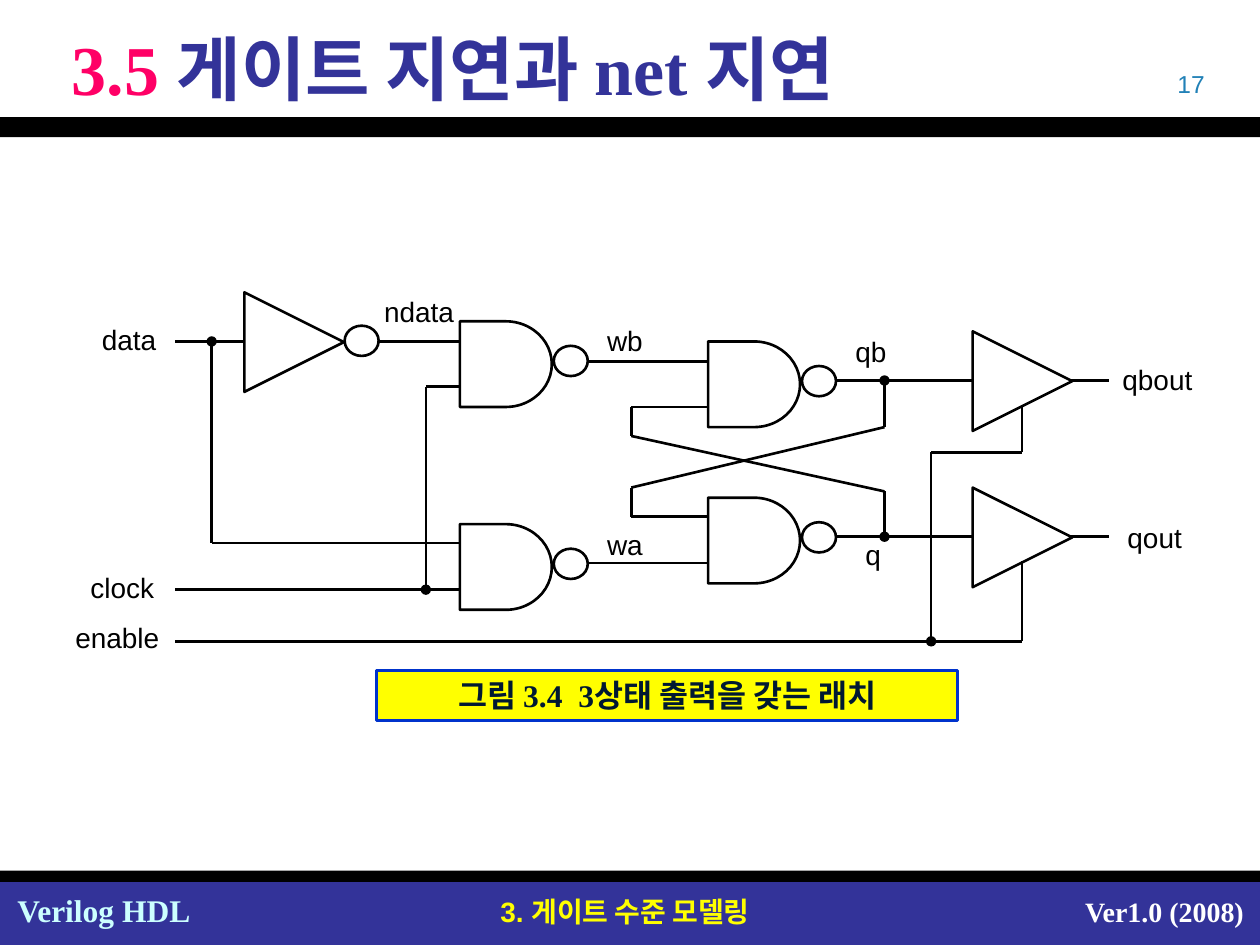
from dataclasses import dataclass
from lxml.etree import SubElement
from pptx import Presentation
from pptx.dml.color import RGBColor
from pptx.enum.shapes import MSO_CONNECTOR as Link, MSO_SHAPE as Kind
from pptx.enum.text import MSO_ANCHOR as Anchor, MSO_AUTO_SIZE as Fit, PP_ALIGN as Align
from pptx.oxml.ns import qn
from pptx.util import Pt

SCALE = 9144
ARIAL = "Arial"
TIMES = "Times New Roman"
BLACK = "000000"
NAVY = "333399"


@dataclass
class Label:
    text: str
    x: int
    y: int
    w: int
    h: int = 37
    size: int = 16
    color: str = BLACK
    face: str = ARIAL
    bold: bool = False
    align: Align = Align.LEFT
    wrap: bool = False


@dataclass
class Wire:
    x1: int
    y1: int
    x2: int
    y2: int
    dot: bool = False


@dataclass
class Bar:
    y: int
    h: int
    color: str


BARS = [Bar(700, 50, NAVY), Bar(93, 16, BLACK), Bar(691, 9, BLACK)]
NOTES = [
    Label("3. 게이트 수준 모델링", 362, 705, 268, color="FFFF00", bold=True,
          align=Align.CENTER, wrap=True),
    Label("Ver1.0 (2008)", 839, 705, 158, color="FFFFFF", face=TIMES, bold=True,
          align=Align.RIGHT, wrap=True),
    Label("Verilog HDL", 4, 702, 158, 40, 18, "CCFFFF", TIMES, True, wrap=True),
    Label("17", 733, 50, 233, 33, 14, "2181B7", align=Align.RIGHT, wrap=True),
    Label("data", 71, 251, 63),
    Label("clock", 62, 448, 70),
    Label("enable", 50, 488, 86),
    Label("ndata", 295, 229, 75),
    Label("wb", 472, 252, 48),
    Label("wa", 472, 414, 48),
    Label("qb", 669, 261, 44),
    Label("q", 677, 422, 32),
    Label("qbout", 881, 283, 75),
    Label("qout", 885, 408, 63),
]
CAPTION = Label("그림 3.4  3상태 출력을 갖는 래치", 299, 532, 461, 40, 18, "001932",
                TIMES, True, Align.CENTER, True)
NANDS = [(365, 255), (365, 416), (562, 271), (562, 395)]
BUFFERS = [(772, 263), (772, 387)]
NOT = (194, 232)
WIRES = [
    Wire(139, 271, 194, 271),
    Wire(301, 271, 365, 271),
    Wire(168, 271, 168, 431, True),
    Wire(168, 431, 365, 431),
    Wire(139, 468, 365, 468),
    Wire(338, 468, 338, 307, True),
    Wire(338, 307, 365, 307),
    Wire(467, 287, 501, 287),
    Wire(501, 287, 562, 287),
    Wire(467, 447, 501, 447),
    Wire(501, 447, 562, 447),
    Wire(501, 323, 562, 323),
    Wire(501, 346, 501, 323),
    Wire(702, 390, 501, 346),
    Wire(702, 426, 702, 390, True),
    Wire(501, 410, 562, 410),
    Wire(501, 410, 501, 387),
    Wire(702, 339, 501, 387),
    Wire(702, 302, 702, 339, True),
    Wire(664, 302, 772, 302),
    Wire(664, 426, 772, 426),
    Wire(811, 359, 811, 322),
    Wire(739, 359, 811, 359),
    Wire(739, 509, 739, 359, True),
    Wire(811, 509, 811, 445),
    Wire(139, 509, 811, 509),
]


def px(*nums: int) -> list[int]:
    return [n * SCALE for n in nums]


def rgb(code: str) -> RGBColor:
    return RGBColor.from_string(code)


def shape(tree, kind: Kind, x: int, y: int, w: int, h: int,
          fill: str = "", line: str = "", turn: int = 0):
    item = tree.add_shape(kind, *px(x, y, w, h))
    item.shadow.inherit = False
    item.rotation = turn
    if fill:
        item.fill.solid()
        item.fill.fore_color.rgb = rgb(fill)
    else:
        item.fill.background()
    if line:
        item.line.color.rgb = rgb(line)
        item.line.width = Pt(1.5)
    else:
        item.line.fill.background()
    return item


def write(frame, note: Label) -> None:
    frame.word_wrap = note.wrap
    frame.auto_size = Fit.SHAPE_TO_FIT_TEXT if note.wrap else Fit.NONE
    frame.vertical_anchor = Anchor.TOP
    if not note.wrap:
        frame.margin_right = 0
    para = frame.paragraphs[0]
    para.text = note.text
    para.alignment = note.align
    style(para, note.face, note.size, note.bold)
    para.font.color.rgb = rgb(note.color)


def style(para, face: str, size: int, bold: bool) -> None:
    para.font.name = face
    para.font.size = Pt(size)
    para.font.bold = bold


def label(tree, note: Label) -> None:
    box = tree.add_textbox(*px(note.x, note.y, note.w, note.h))
    write(box.text_frame, note)


def wire(tree, run: Wire) -> None:
    item = tree.add_connector(Link.STRAIGHT, *px(run.x1, run.y1, run.x2, run.y2))
    item.line.color.rgb = rgb(BLACK)
    item.line.width = Pt(1.5)
    props = item.line._get_or_add_ln()
    if run.dot:
        SubElement(props, qn("a:headEnd"), type="oval")
    SubElement(props.getparent(), qn("a:effectLst"))


def bubble(tree, x: int, y: int) -> None:
    shape(tree, Kind.FLOWCHART_CONNECTOR, x, y, 24, 27, line=BLACK, turn=90)


def nand(tree, x: int, y: int) -> None:
    shape(tree, Kind.FLOWCHART_DELAY, x, y, 73, 68, line=BLACK)
    bubble(tree, x + 76, y + 18)


def wedge(tree, x: int, y: int) -> None:
    shape(tree, Kind.ISOSCELES_TRIANGLE, x, y, 79, 79, line=BLACK, turn=90)


def title(item) -> None:
    item.left, item.top, item.width, item.height = px(17, 21, 967, 65)
    frame = item.text_frame
    frame.auto_size = Fit.NONE
    frame.vertical_anchor = Anchor.MIDDLE
    para = frame.paragraphs[0]
    para.alignment = Align.LEFT
    para._p.get_or_add_pPr().set("marL", str(30 * SCALE))
    style(para, TIMES, 40, True)
    for text, color in (("3.5 ", "FF0066"), ("게이트 지연과 net 지연", NAVY)):
        run = para.add_run()
        run.text = text
        run.font.color.rgb = rgb(color)


def main() -> None:
    deck = Presentation()
    deck.slide_width, deck.slide_height = px(1000, 750)
    slide = deck.slides.add_slide(deck.slide_layouts[5])
    tree = slide.shapes
    title(tree.title)
    for bar in BARS:
        shape(tree, Kind.RECTANGLE, 0, bar.y, 1000, bar.h, bar.color)
    for spot in NANDS:
        nand(tree, *spot)
    wedge(tree, *NOT)
    bubble(tree, NOT[0] + 81, NOT[1] + 25)
    for x, y in BUFFERS:
        wedge(tree, x, y)
        wire(tree, Wire(x + 78, y + 39, x + 108, y + 39))
    for run in WIRES:
        wire(tree, run)
    for note in NOTES:
        label(tree, note)
    box = shape(tree, Kind.RECTANGLE, CAPTION.x, CAPTION.y, CAPTION.w, CAPTION.h,
                "FFFF00", "0033CC")
    write(box.text_frame, CAPTION)
    deck.save("out.pptx")


if __name__ == "__main__":
    main()
